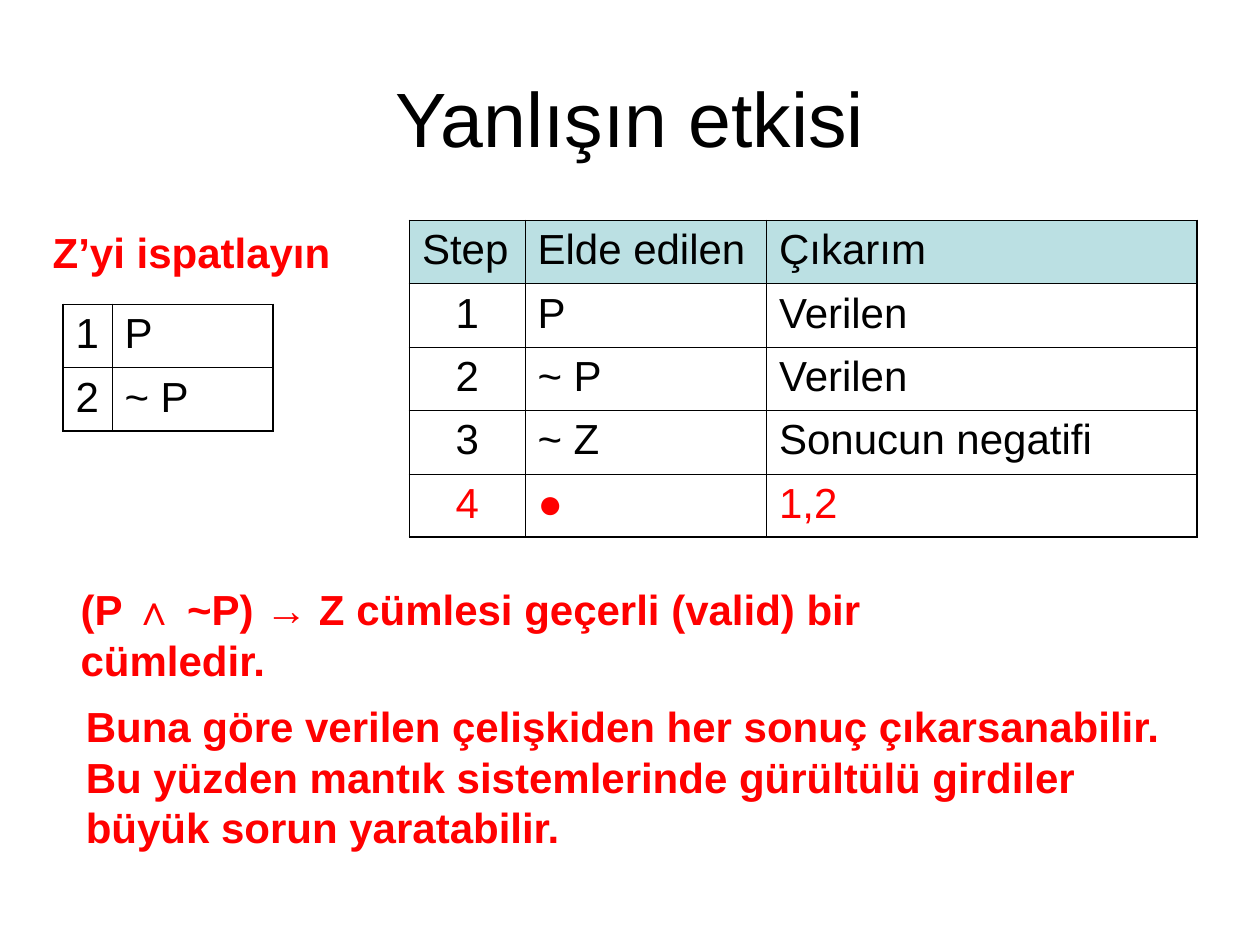
from lxml import etree
from pptx import Presentation
from pptx import util as u
from pptx.dml.color import RGBColor
from pptx.enum import text
from pptx.oxml.ns import qn

Pt = u.Pt
FONT = "Arial"
COLORS = {"ink": "000000", "red": "FF0000", "header": "BBE0E3"}
THICK, THIN = 1.08, 0.45


def rgb(name):
    return RGBColor.from_string(COLORS[name])


def style(p, size, color, bold=False, align=text.PP_ALIGN.LEFT):
    p.alignment = align
    f = p.font
    f.name, f.size, f.bold = FONT, Pt(size), bold
    f.color.rgb = rgb(color)


def add_title(s, box, words):
    sp = s.shapes.title
    sp.left, sp.top, sp.width, sp.height = map(Pt, box)
    tf = sp.text_frame
    tf.vertical_anchor = text.MSO_ANCHOR.MIDDLE
    tf.text = words
    style(tf.paragraphs[0], 44, "ink", align=text.PP_ALIGN.CENTER)


def add_note(s, box, words, wrap=False, align=text.PP_ALIGN.LEFT):
    tf = s.shapes.add_textbox(*map(Pt, box)).text_frame
    tf.word_wrap = wrap
    tf.auto_size = text.MSO_AUTO_SIZE.SHAPE_TO_FIT_TEXT
    p = tf.paragraphs[0]
    p.text = words
    style(p, 24, "red", True, align)


def set_borders(cell, widths):
    tcPr = cell._tc.get_or_add_tcPr()
    for side, width in zip("LRTB", widths):
        ln = etree.SubElement(tcPr, qn(f"a:ln{side}"), w=str(int(Pt(width))))
        fill = etree.SubElement(ln, qn("a:solidFill"))
        etree.SubElement(fill, qn("a:srgbClr"), val=COLORS["ink"])


def add_steps(s, left, top, cols, row_height, rows, header=False, red_last=False):
    last_row, last_col = len(rows) - 1, len(cols) - 1
    tbl = s.shapes.add_table(len(rows), len(cols), Pt(left), Pt(top),
                             Pt(sum(cols)), Pt(row_height * len(rows))).table
    tbl.first_row = tbl.horz_banding = False
    for col, width in zip(tbl.columns, cols):
        col.width = Pt(width)
    for i, row in enumerate(rows):
        tbl.rows[i].height = Pt(row_height)
        for j, words in enumerate(row):
            cell = tbl.cell(i, j)
            edges = (j == 0, j == last_col, i == 0, i == last_row)
            set_borders(cell, [THICK if edge else THIN for edge in edges])
            if header and i == 0:
                cell.fill.solid()
                cell.fill.fore_color.rgb = rgb("header")
            else:
                cell.fill.background()
            cell.text = words
            p = cell.text_frame.paragraphs[0]
            centred = header and i > 0 and j == 0
            style(p, 24, "red" if red_last and i == last_row else "ink",
                  align=text.PP_ALIGN.CENTER if centred else text.PP_ALIGN.LEFT)
            p.space_before = Pt(6)


prs = Presentation()
prs.slide_width, prs.slide_height = Pt(720), Pt(540)
s = prs.slides.add_slide(prs.slide_layouts[5])

add_title(s, (36, 21.6, 648, 90), "Yanlışın etkisi")
add_steps(s, 36, 174, (28, 92), 36.2, [("1", "P"), ("2", "~ P")])
add_note(s, (23, 126, 173, 36), "Z’yi ispatlayın", align=text.PP_ALIGN.CENTER)
add_steps(s, 234, 126, (66, 138, 246), 36.2, [
    ("Step", "Elde edilen", "Çıkarım"),
    ("1", "P", "Verilen"),
    ("2", "~ P", "Verilen"),
    ("3", "~ Z", "Sonucun negatifi"),
    ("4", "●", "1,2"),
], header=True, red_last=True)
add_note(s, (39, 330, 558, 36),
         "(P ∧ ~P) → Z cümlesi geçerli (valid) bir cümledir.", wrap=True)
add_note(s, (42, 397, 629, 94),
         "Buna göre verilen çelişkiden her sonuç çıkarsanabilir.\v"
         "Bu yüzden mantık sistemlerinde gürültülü girdiler\v"
         "büyük sorun yaratabilir.")

prs.save("out.pptx")
